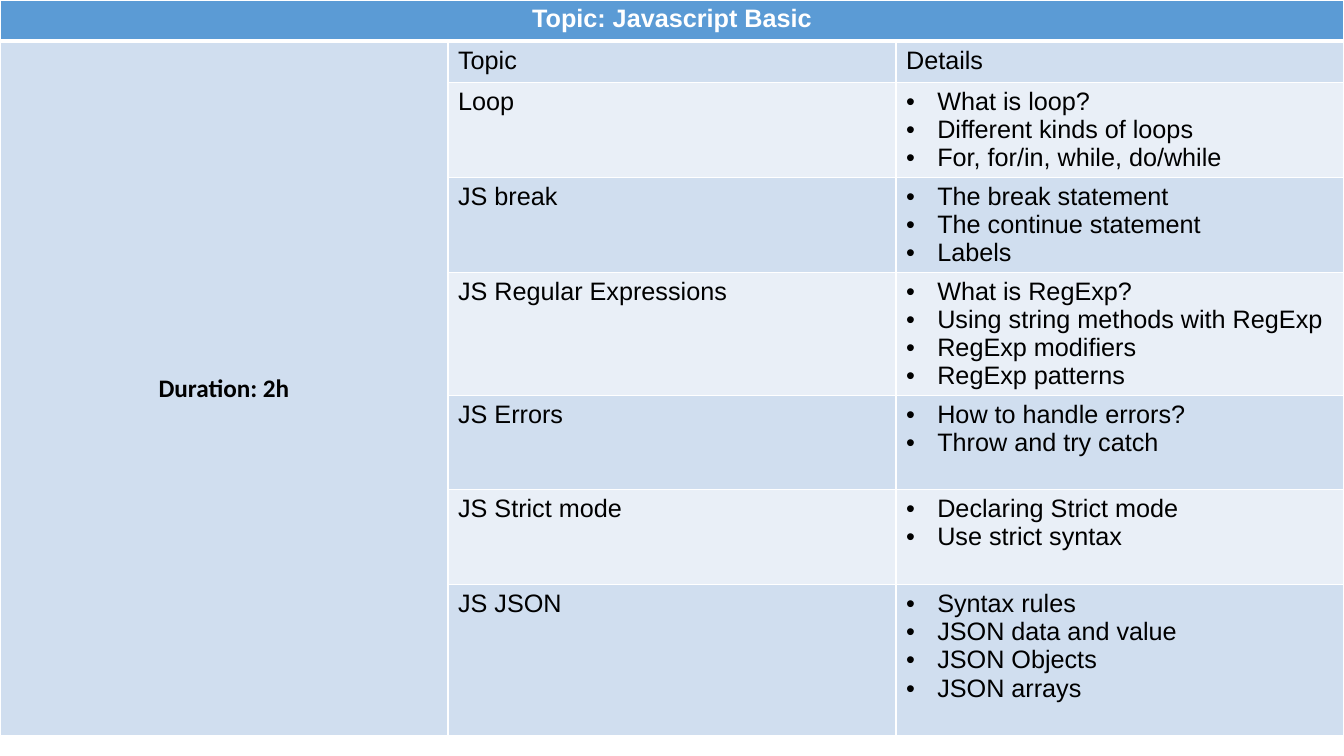
from pptx import Presentation
from pptx.dml.color import RGBColor
from pptx.enum.text import MSO_ANCHOR as Anchor, PP_ALIGN as Align
from pptx.oxml.ns import qn
from pptx.util import Inches, Pt
from lxml.etree import SubElement

WHITE = RGBColor(0xFF, 0xFF, 0xFF)
BLACK = RGBColor(0, 0, 0)
HEADER_BLUE = RGBColor(0x5B, 0x9B, 0xD5)
BAND_DARK = RGBColor(0xD0, 0xDE, 0xEF)
BAND_LIGHT = RGBColor(0xE9, 0xEF, 0xF7)

WIDTH, HEIGHT = Inches(13.33), Inches(7.5)
COLUMNS = 3
SINGLE_ROW, LINE, PADDING = 0.41, 0.28, 0.1
INDENT = Inches(0.31)

# Topic, lines of room in its row, details
TOPICS = [
    ("Loop", 3, ["What is loop?", "Different kinds of loops",
                 "For, for/in, while, do/while"]),
    ("JS break", 3, ["The break statement", "The continue statement",
                     "Labels"]),
    ("JS Regular Expressions", 4, ["What is RegExp?",
                                   "Using string methods with RegExp",
                                   "RegExp modifiers", "RegExp patterns"]),
    ("JS Errors", 3, ["How to handle errors?", "Throw and try catch"]),
    ("JS Strict mode", 3, ["Declaring Strict mode", "Use strict syntax"]),
    ("JS JSON", 5, ["Syntax rules", "JSON data and value", "JSON Objects",
                    "JSON arrays"]),
]


def add_bullet(para):
    """Give a paragraph a hanging round bullet."""
    props = para._p.get_or_add_pPr()
    props.set("marL", str(INDENT))
    props.set("indent", str(-INDENT))
    SubElement(props, qn("a:buFont"), typeface="Arial")
    SubElement(props, qn("a:buChar"), char="•")


def write(cell, *lines, font="Arial", color=BLACK, bold=False,
          align=Align.LEFT, anchor=Anchor.TOP, bullets=False):
    """Fill a cell with one formatted paragraph per line."""
    cell.vertical_anchor = anchor
    frame = cell.text_frame
    for number, line in enumerate(lines):
        para = frame.add_paragraph() if number else frame.paragraphs[0]
        para.alignment = align
        span = para.add_run()
        span.text = line
        span.font.name, span.font.size = font, Pt(18)
        span.font.bold, span.font.color.rgb = bold, color
        if bullets:
            add_bullet(para)


def paint(cell, fill, **widths):
    """Draw white borders, 1 pt unless a side is given, then the fill."""
    props = cell._tc.get_or_add_tcPr()
    for side in "LRTB":
        line = SubElement(props, qn(f"a:ln{side}"),
                          w=str(Pt(widths.get(side, 1))))
        solid = SubElement(line, qn("a:solidFill"))
        SubElement(solid, qn("a:srgbClr"), val=str(WHITE))
    cell.fill.solid()
    cell.fill.fore_color.rgb = fill


def add_grid(page, heights):
    """Add a full-width table with the given row heights in inches."""
    table = page.shapes.add_table(len(heights), COLUMNS, 0, 0, WIDTH,
                                  Inches(sum(heights))).table
    table.first_row = table.horz_banding = False
    for column in table.columns:
        column.width = WIDTH // COLUMNS
    for row, height in zip(table.rows, heights):
        row.height = Inches(height)
    return table


def paint_bands(table):
    """Colour the header, the duration column and the alternating rows."""
    for number, row in enumerate(table.rows):
        for column, cell in enumerate(row.cells):
            if number == 0:
                paint(cell, HEADER_BLUE, B=3)
            else:
                dark = column == 0 or number % 2
                paint(cell, BAND_DARK if dark else BAND_LIGHT,
                      T=3 if number == 1 else 1)


def main():
    """Build the course plan slide."""
    deck = Presentation()
    deck.slide_width, deck.slide_height = WIDTH, HEIGHT
    page = deck.slides.add_slide(deck.slide_layouts[6])

    heights = [SINGLE_ROW] * 2 + [PADDING + LINE * room
                                  for _, room, _ in TOPICS]
    table = add_grid(page, heights)
    paint_bands(table)

    title, duration = table.cell(0, 0), table.cell(1, 0)
    title.merge(table.cell(0, COLUMNS - 1))
    duration.merge(table.cell(len(heights) - 1, 0))
    write(title, "Topic: Javascript Basic", color=WHITE, bold=True,
          align=Align.CENTER)
    write(duration, "Duration: 2h", font="Calibri", bold=True,
          align=Align.CENTER, anchor=Anchor.MIDDLE)
    write(table.cell(1, 1), "Topic")
    write(table.cell(1, 2), "Details")
    for row, (topic, _, details) in enumerate(TOPICS, start=2):
        write(table.cell(row, 1), topic)
        write(table.cell(row, 2), *details, bullets=True)

    deck.save("out.pptx")


main()
